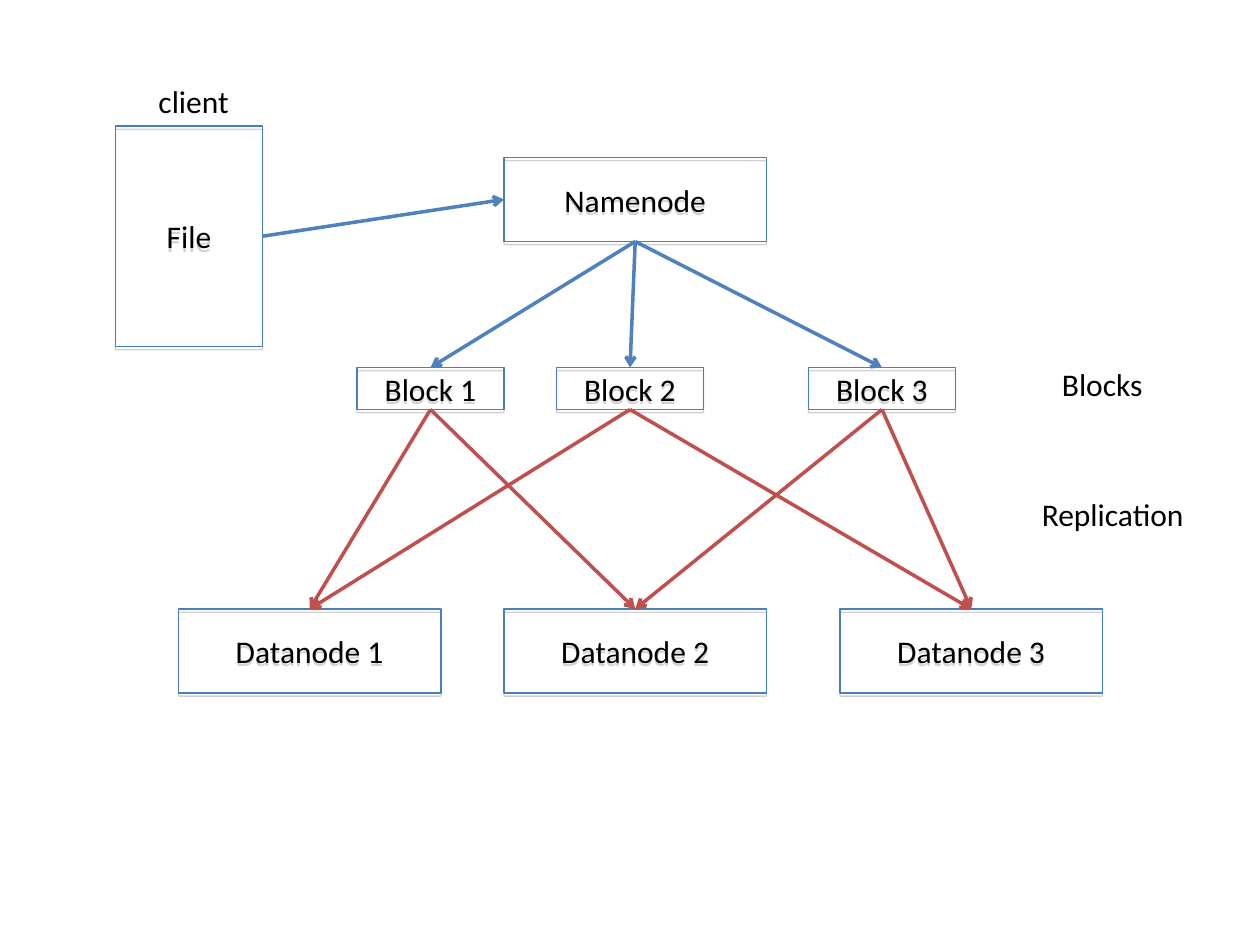
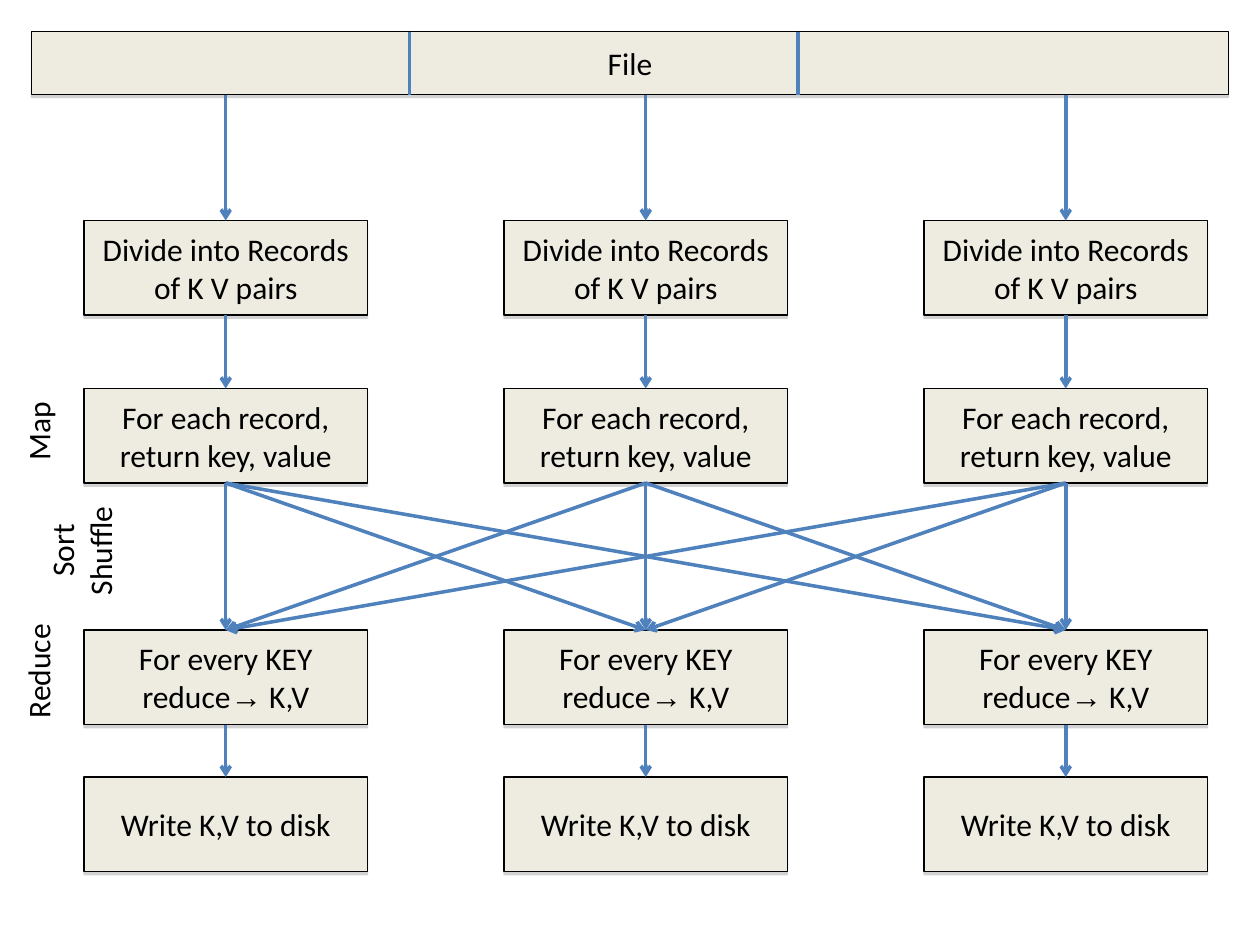
import itertools
import pptx
import pptx.dml.color
import pptx.enum.shapes
import pptx.enum.text
import pptx.oxml
import pptx.oxml.ns
import pptx.util

# Shared look
BLACK, BLUE, BLUE_EDGE, RED, BEIGE, GREY = (
    "000000", "4F81BD", "4A7EBB", "C0504D", "EEECE1", "808080")
FONT, ARROW_FONT, TEXT_SIZE = "Calibri", "Arial", 18
UNITS_PER_INCH = 12  # boxes sit on a grid of twelfths of an inch
TOP, LEFT, BOTTOM, RIGHT = range(4)
A = pptx.oxml.ns.nsdecls("a")

# Storage slide: left, top, width, height in grid units
CLIENT_FILE = ("File", 11, 12, 14, 21)
NAMENODE = ("Namenode", 48, 15, 25, 8)
BLOCKS = [(f"Block {n}", left, 35, 14, 4)
          for n, left in enumerate((34, 53, 77), 1)]
DATANODES = [(f"Datanode {n}", left, 58, 25, 8)
             for n, left in enumerate((17, 48, 80), 1)]
REPLICAS = [(0, 1), (0, 2), (1, 2)]  # datanodes that hold each block
# Labels: text, left, top, width, height in inches
STORAGE_LABELS = [("client", 1.16, 0.6, 0.76, 0.4),
                  ("Blocks", 8.33, 2.85, 0.84, 0.4),
                  ("Replication", 8.17, 3.88, 1.33, 0.4)]

# Processing slide
INPUT_FILE = ("File", 3, 3, 114, 6)
SPLITS = (39, 76)
LANES = (8, 48, 88)
STEP_SIZE = (27, 9)
STEPS = [("Divide into Records of K V pairs", 21),
         ("For each record, return key, value", 37),
         ("For every KEY reduce→ K,V", 60),
         ("Write K,V to disk", 74)]
SHUFFLE_STEP = 1  # every box of this step feeds every box of the next
PHASE_LABELS = [("Map", -0.05, 3.2, 0.7, 0.4),
                ("Sort\nShuffle", 0.14, 4.02, 1, 0.7),
                ("Reduce", -0.2, 5.1, 1, 0.4)]


def color(hex_code):
    return pptx.dml.color.RGBColor.from_string(hex_code)


def grid(*units):
    return [pptx.util.Inches(unit / UNITS_PER_INCH) for unit in units]


def write(frame, text, align="LEFT", anchor="TOP", wrap=True, size=TEXT_SIZE):
    frame.word_wrap = wrap
    frame.vertical_anchor = getattr(pptx.enum.text.MSO_ANCHOR, anchor)
    for row, line in enumerate(text.split("\n")):
        paragraph = frame.add_paragraph() if row else frame.paragraphs[0]
        paragraph.alignment = getattr(pptx.enum.text.PP_ALIGN, align)
        for part in filter(None, line.partition("→")):
            run = paragraph.add_run()
            run.text = part
            run.font.name = ARROW_FONT if part == "→" else FONT
            run.font.size = pptx.util.Pt(size)
            run.font.color.rgb = color(BLACK)


def add_box(slide, text, left, top, width, height, edge=BLUE_EDGE, fill=None):
    box = slide.shapes.add_shape(pptx.enum.shapes.MSO_SHAPE.RECTANGLE,
                                 *grid(left, top, width, height))
    if fill:
        box.fill.solid()
        box.fill.fore_color.rgb = color(fill)
    else:
        box.fill.background()
    box.line.color.rgb = color(edge)
    box.line.width = pptx.util.Pt(0.75)
    # Grey shadow straight below
    box.shadow.inherit = False
    effects = box._element.spPr.find(pptx.oxml.ns.qn("a:effectLst"))
    effects.append(pptx.oxml.parse_xml(
        f'<a:outerShdw {A} blurRad="0" dist="{pptx.util.Pt(1.8)}" dir="5400000" '
        f'rotWithShape="0"><a:srgbClr val="{GREY}"><a:alpha val="35000"/>'
        '</a:srgbClr></a:outerShdw>'))
    write(box.text_frame, text, align="CENTER", anchor="MIDDLE")
    return box


def add_line(slide, start=(0, 0), end=(0, 0), stroke=BLUE, arrow=True):
    line = slide.shapes.add_connector(
        pptx.enum.shapes.MSO_CONNECTOR.STRAIGHT, *grid(*start, *end))
    line.line.color.rgb = color(stroke)
    line.line.width = pptx.util.Pt(2)
    if arrow:
        line.line._get_or_add_ln().append(
            pptx.oxml.parse_xml(f'<a:tailEnd {A} type="arrow"/>'))
    line._element.spPr.append(pptx.oxml.parse_xml(f"<a:effectLst {A}/>"))
    return line


def join(slide, source, target, sides=(BOTTOM, TOP), stroke=BLUE):
    line = add_line(slide, stroke=stroke)
    line.begin_connect(source, sides[0])
    line.end_connect(target, sides[1])


def add_label(slide, text, left, top, width, height, rotation=0):
    label = slide.shapes.add_textbox(
        *map(pptx.util.Inches, (left, top, width, height)))
    label.rotation = rotation
    write(label.text_frame, text, wrap=False,
          align="CENTER" if "\n" in text else "LEFT")
    label.text_frame.auto_size = pptx.enum.text.MSO_AUTO_SIZE.SHAPE_TO_FIT_TEXT


def build_storage(slide):
    namenode = add_box(slide, *NAMENODE)
    client_file = add_box(slide, *CLIENT_FILE)
    datanodes = [add_box(slide, *node) for node in DATANODES]
    blocks = [add_box(slide, *block) for block in BLOCKS]
    join(slide, client_file, namenode, sides=(RIGHT, LEFT))
    for block, holders in zip(blocks, REPLICAS):
        join(slide, namenode, block)
        for node in holders:
            join(slide, block, datanodes[node], stroke=RED)
    for label in STORAGE_LABELS:
        add_label(slide, *label)


def build_processing(slide):
    add_box(slide, *INPUT_FILE, edge=BLACK, fill=BEIGE)
    _, _, file_top, _, file_height = INPUT_FILE
    file_bottom = file_top + file_height
    for split in SPLITS:
        add_line(slide, (split, file_top), (split, file_bottom), arrow=False)

    steps = [[add_box(slide, text, lane, top, *STEP_SIZE, edge=BLACK, fill=BEIGE)
              for lane in LANES] for text, top in STEPS]

    # File parts feed the first step
    for lane, first in zip(LANES, steps[0]):
        middle = lane + STEP_SIZE[0] / 2
        feed = add_line(slide, (middle, file_bottom), (middle, STEPS[0][1]))
        feed.end_connect(first, TOP)

    # Each step feeds the next, straight down or shuffled across lanes
    for number, (upper, lower) in enumerate(itertools.pairwise(steps)):
        pair = itertools.product if number == SHUFFLE_STEP else zip
        for source, target in pair(upper, lower):
            join(slide, source, target)
    for label in PHASE_LABELS:
        add_label(slide, *label, rotation=270)


def main():
    deck = pptx.Presentation()
    deck.slide_width = pptx.util.Inches(10)
    deck.slide_height = pptx.util.Inches(7.5)
    blank = deck.slide_layouts[6]
    for build in (build_storage, build_processing):
        build(deck.slides.add_slide(blank))
    deck.save("out.pptx")


if __name__ == "__main__":
    main()
